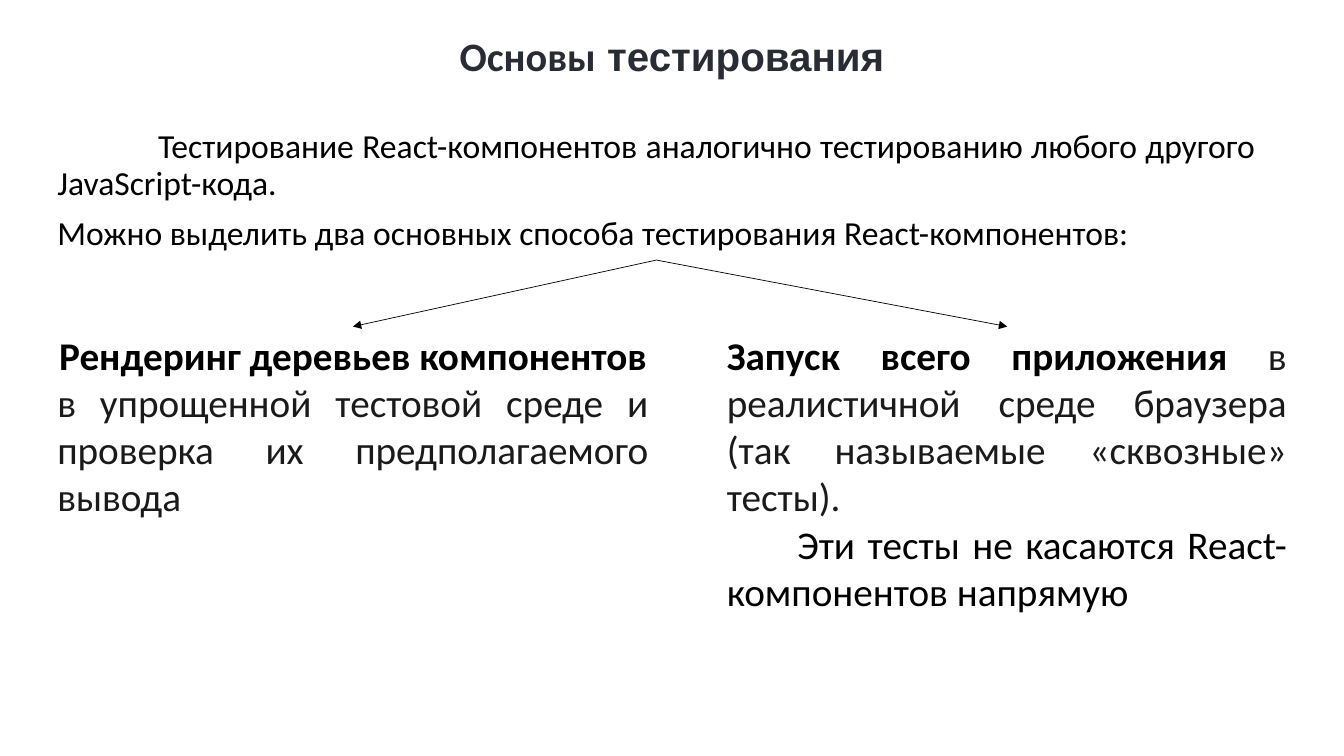
from dataclasses import dataclass

import pptx
import pptx.dml.color
import pptx.enum.dml
import pptx.enum.shapes
import pptx.enum.text
import pptx.oxml
import pptx.oxml.ns
import pptx.slide
import pptx.text.text
import pptx.util

Inches = pptx.util.Inches
Align = pptx.enum.text.PP_ALIGN
Anchor = pptx.enum.text.MSO_ANCHOR

COLORS = {"heading": "282C34", "text": "000000", "detail": "1A1A1A", "paper": "FFFFFF"}


@dataclass(frozen=True)
class Run:
    text: str
    color: str = "text"
    bold: bool = False
    font: str = "Calibri"


@dataclass(frozen=True)
class Paragraph:
    runs: tuple[Run, ...]
    align: Align = Align.JUSTIFY
    indent: float = 0


@dataclass(frozen=True)
class Block:
    left: float
    top: float
    width: float
    height: float
    size: float
    paragraphs: tuple[Paragraph, ...]
    line_spacing: float = 1.0
    gap: float = 0
    anchor: Anchor = Anchor.TOP


@dataclass(frozen=True)
class Branch:
    end_x: float
    end_y: float = 3.24
    start_x: float = 6.51
    start_y: float = 2.58


TITLE = Block(4.34, 0.32, 4.65, 0.52, 28.8, (
    Paragraph((
        Run("Основы", "heading", True),
        Run(" тестирования", "heading", True, "Arial"),
    ), Align.CENTER),
), line_spacing=0.9, anchor=Anchor.BOTTOM)

INTRO = Block(0.47, 1.24, 12.08, 1.34, 24, (
    Paragraph((Run("Тестирование React-компонентов аналогично тестированию "
                   "любого другого JavaScript-кода."),), indent=1),
    Paragraph((Run("Можно выделить два основных способа тестирования "
                   "React-компонентов:"),)),
), line_spacing=0.9, gap=10)

RENDERING = Block(0.47, 3.24, 6.06, 1.99, 28, (
    Paragraph((Run("Рендеринг деревьев компонентов", bold=True),), Align.CENTER),
    Paragraph((Run("в упрощенной тестовой среде и проверка "
                   "их предполагаемого вывода", "detail"),)),
))

END_TO_END = Block(7.11, 3.24, 5.75, 2.93, 28, (
    Paragraph((
        Run("Запуск всего приложения ", bold=True),
        Run("в реалистичной среде браузера (так называемые «сквозные» тесты).", "detail"),
    )),
    Paragraph((Run("Эти тесты не касаются React-компонентов напрямую"),), indent=0.7),
))

BLOCKS = (TITLE, INTRO, RENDERING, END_TO_END)
BRANCHES = (Branch(3.5), Branch(9.99))


def rgb(name: str) -> pptx.dml.color.RGBColor:
    return pptx.dml.color.RGBColor.from_string(COLORS[name])


def write(line: pptx.text.text._Paragraph, text: str, *, size: float,
          color: str, bold: bool, font: str) -> None:
    piece = line.add_run()
    piece.text = text
    piece.font.size = pptx.util.Pt(size)
    piece.font.color.rgb = rgb(color)
    piece.font.bold = bold
    piece.font.name = font


def draw_block(slide: pptx.slide.Slide, block: Block) -> None:
    frame = slide.shapes.add_textbox(
        Inches(block.left), Inches(block.top),
        Inches(block.width), Inches(block.height)).text_frame
    frame.word_wrap = True
    frame.vertical_anchor = block.anchor
    for number, paragraph in enumerate(block.paragraphs):
        line = frame.add_paragraph() if number else frame.paragraphs[0]
        line.alignment = paragraph.align
        line.line_spacing = block.line_spacing
        line.space_before = pptx.util.Pt(block.gap if number else 0)
        if paragraph.indent:
            line._p.get_or_add_pPr().set("indent", str(Inches(paragraph.indent)))
        for run in paragraph.runs:
            write(line, run.text, size=block.size, color=run.color,
                  bold=run.bold, font=run.font)


def draw_branch(slide: pptx.slide.Slide, branch: Branch) -> None:
    arrow = slide.shapes.add_connector(
        pptx.enum.shapes.MSO_CONNECTOR.STRAIGHT,
        Inches(branch.start_x), Inches(branch.start_y),
        Inches(branch.end_x), Inches(branch.end_y))
    arrow.line.color.rgb = rgb("text")
    arrow.line.width = pptx.util.Pt(0.5)
    qn = pptx.oxml.ns.qn
    head = arrow.line._get_or_add_ln().makeelement(qn("a:tailEnd"), {"type": "triangle"})
    arrow.line._get_or_add_ln().append(head)
    properties = arrow._element.spPr
    properties.append(properties.makeelement(qn("a:effectLst"), {}))


def main() -> None:
    deck = pptx.Presentation()
    deck.slide_width = Inches(13.33)
    deck.slide_height = Inches(7.5)
    slide = deck.slides.add_slide(deck.slide_layouts[6])
    slide.background.fill.solid()
    slide.background.fill.fore_color.rgb = rgb("paper")
    for block in BLOCKS:
        draw_block(slide, block)
    for branch in BRANCHES:
        draw_branch(slide, branch)
    deck.save("out.pptx")


if __name__ == "__main__":
    main()
